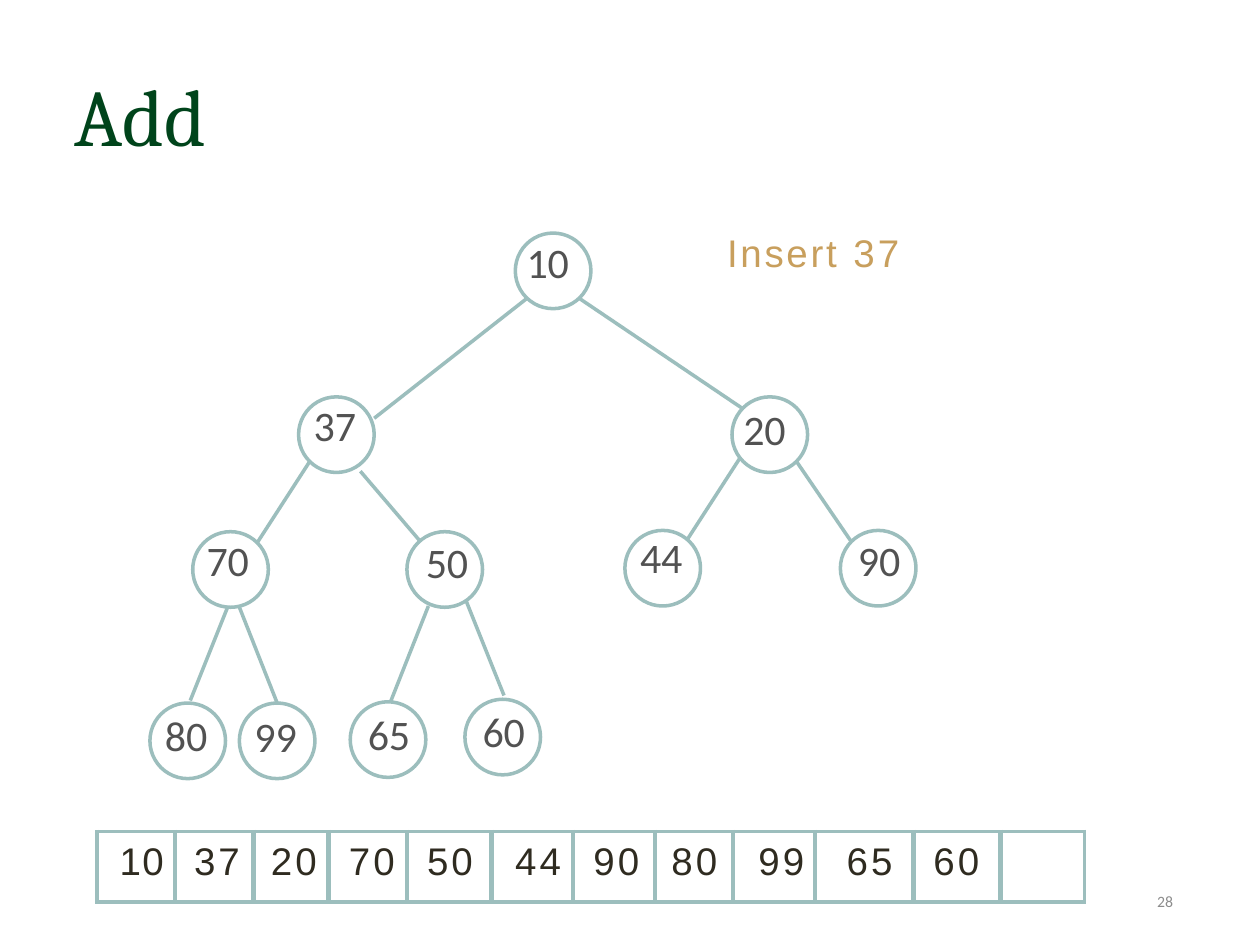
from lxml import etree
from pptx import Presentation
from pptx.dml.color import RGBColor
from pptx.enum.shapes import MSO_CONNECTOR, MSO_SHAPE
from pptx.enum.text import MSO_ANCHOR, PP_ALIGN
from pptx.oxml.ns import qn
from pptx.util import Inches, Pt

COLORS = {"title": "00441B", "outline": "9CBEBD", "label": "525252",
          "accent": "C89F5D", "cell": "2F2B20", "number": "8C8C8C"}

# Style: font, size, colour
STYLES = {"title": ("Cambria", 46, "title"), "node": ("Calibri", 24, "label"),
          "note": ("Arial", 22, "accent"), "cell": ("Arial", 22, "cell"),
          "number": ("Calibri", 9, "number")}

NODE_SIZE = 0.6
# Value: left and top in the tree, then label offset in the node
NODES = {
    "10": (2.90, 0.00, 0.09, 0.02),
    "37": (1.18, 1.30, 0.12, 0.01),
    "20": (4.62, 1.30, 0.09, 0.04),
    "70": (0.34, 2.37, 0.11, 0.01),
    "50": (2.04, 2.37, 0.15, 0.03),
    "44": (3.77, 2.36, 0.12, 0.00),
    "90": (5.48, 2.36, 0.14, 0.02),
    "80": (0.00, 3.73, 0.12, 0.04),
    "99": (0.71, 3.73, 0.12, 0.05),
    "65": (1.59, 3.72, 0.14, 0.04),
    "60": (2.50, 3.70, 0.14, 0.04),
}
# Parent end and child end in the tree
EDGES = [
    (2.99, 0.52, 1.78, 1.47), (3.41, 0.52, 4.70, 1.39),
    (1.27, 1.81, 0.85, 2.46), (1.67, 1.89, 2.14, 2.44),
    (4.68, 1.79, 4.26, 2.44), (5.13, 1.81, 5.56, 2.44),
    (0.62, 2.96, 0.32, 3.71), (0.71, 2.97, 1.01, 3.73),
    (2.21, 2.96, 1.91, 3.72), (2.51, 2.92, 2.81, 3.67),
]
# Value, column width, text indent
CELLS = [
    ("10", 0.62, 0.18), ("37", 0.62, 0.15), ("20", 0.60, 0.14),
    ("70", 0.62, 0.16), ("50", 0.67, 0.16), ("44", 0.65, 0.19),
    ("90", 0.65, 0.16), ("80", 0.62, 0.13), ("99", 0.65, 0.20),
    ("65", 0.78, 0.25), ("60", 0.69, 0.16), ("", 0.67, 0),
]


def color(name):
    return RGBColor.from_string(COLORS[name])


def set_attributes(target, values):
    for name, value in values.items():
        setattr(target, name, value)


def write_runs(paragraph, runs, style):
    """Add (text, letter spacing in points) runs in one style."""
    font, size, color_name = STYLES[style]
    for text, spacing in runs:
        run = paragraph.add_run()
        run.text = text
        set_attributes(run.font, {"name": font, "size": Pt(size), "bold": False})
        run.font.color.rgb = color(color_name)
        run._r.get_or_add_rPr().set("spc", str(round(spacing * 100)))


def fill_frame(shape, runs, style, anchor=MSO_ANCHOR.TOP, align=PP_ALIGN.LEFT):
    set_attributes(shape.text_frame, {
        "word_wrap": True, "vertical_anchor": anchor, "margin_left": 0,
        "margin_top": Inches(0.01), "margin_right": 0, "margin_bottom": 0})
    paragraph = shape.text_frame.paragraphs[0]
    set_attributes(paragraph, {"alignment": align, "space_before": Pt(1)})
    write_runs(paragraph, runs, style)


def add_text(slide, box, runs, style, **layout):
    textbox = slide.shapes.add_textbox(*map(Inches, box))
    fill_frame(textbox, runs, style, **layout)


def add_title(slide, box):
    title = slide.shapes.title
    set_attributes(title, dict(zip(("left", "top", "width", "height"),
                                   map(Inches, box))))
    fill_frame(title, [("A", -1.4), ("d", -1.1), ("d", 0)], "title",
               anchor=MSO_ANCHOR.MIDDLE)


def set_outline(shape):
    shape.line.color.rgb = color("outline")
    shape.line.width = Pt(2)


def add_tree(slide, left, top):
    # Nodes and their labels
    for value, (x, y, label_x, label_y) in NODES.items():
        x, y = left + x, top + y
        node = slide.shapes.add_shape(
            MSO_SHAPE.OVAL, *map(Inches, (x, y, NODE_SIZE, NODE_SIZE)))
        node.shadow.inherit = False
        node.fill.background()
        set_outline(node)
        add_text(slide, (x + label_x, y + label_y, 0.36, 0.43),
                 [(value, -0.1)], "node")

    # Edges
    for x1, y1, x2, y2 in EDGES:
        ends = (left + x1, top + y1, left + x2, top + y2)
        edge = slide.shapes.add_connector(MSO_CONNECTOR.STRAIGHT,
                                          *map(Inches, ends))
        set_outline(edge)
        etree.SubElement(edge._element.spPr, qn("a:effectLst"))


def set_borders(cell, widths):
    properties = cell._tc.get_or_add_tcPr()
    for position, (side, width) in enumerate(widths.items()):
        line = etree.Element(qn(f"a:ln{side}"), w=str(Pt(width)))
        fill = etree.SubElement(line, qn("a:solidFill"))
        etree.SubElement(fill, qn("a:srgbClr"), val=COLORS["outline"])
        properties.insert(position, line)


def add_array(slide, left, top, height):
    width = sum(cell_width for _, cell_width, _ in CELLS)
    frame = slide.shapes.add_table(1, len(CELLS),
                                   *map(Inches, (left, top, width, height)))
    table = frame.table
    set_attributes(table, {"first_row": False, "horz_banding": False})
    last = len(CELLS) - 1
    for index, (value, cell_width, indent) in enumerate(CELLS):
        table.columns[index].width = Inches(cell_width)
        cell = table.cell(0, index)
        cell.fill.background()
        set_attributes(cell, {
            "margin_left": Inches(indent), "margin_top": Inches(0.07),
            "margin_right": 0, "margin_bottom": 0})
        set_borders(cell, {"L": 3 if index else 2.25,
                           "R": 3 if index < last else 2.25,
                           "T": 2.25, "B": 2.25})
        if value:
            paragraph = cell.text_frame.paragraphs[0]
            paragraph.space_before = Pt(5.2)
            write_runs(paragraph, [(value, 1.8 if index else 0.8)], "cell")


def main():
    presentation = Presentation()
    presentation.slide_width = Inches(10)
    presentation.slide_height = Inches(7.5)
    slide = presentation.slides.add_slide(presentation.slide_layouts[5])

    add_title(slide, (0.59, 0.51, 1.1, 0.79))
    add_tree(slide, 1.19, 1.85)
    add_text(slide, (5.77, 1.81, 1.45, 0.39),
             [("Insert ", 1.6), ("37", 1.8)], "note")
    add_array(slide, 0.77, 6.6, 0.56)
    add_text(slide, (7.06, 6.95, 2.25, 0.4), [("28", 0)], "number",
             anchor=MSO_ANCHOR.MIDDLE, align=PP_ALIGN.RIGHT)

    presentation.save("out.pptx")


if __name__ == "__main__":
    main()
